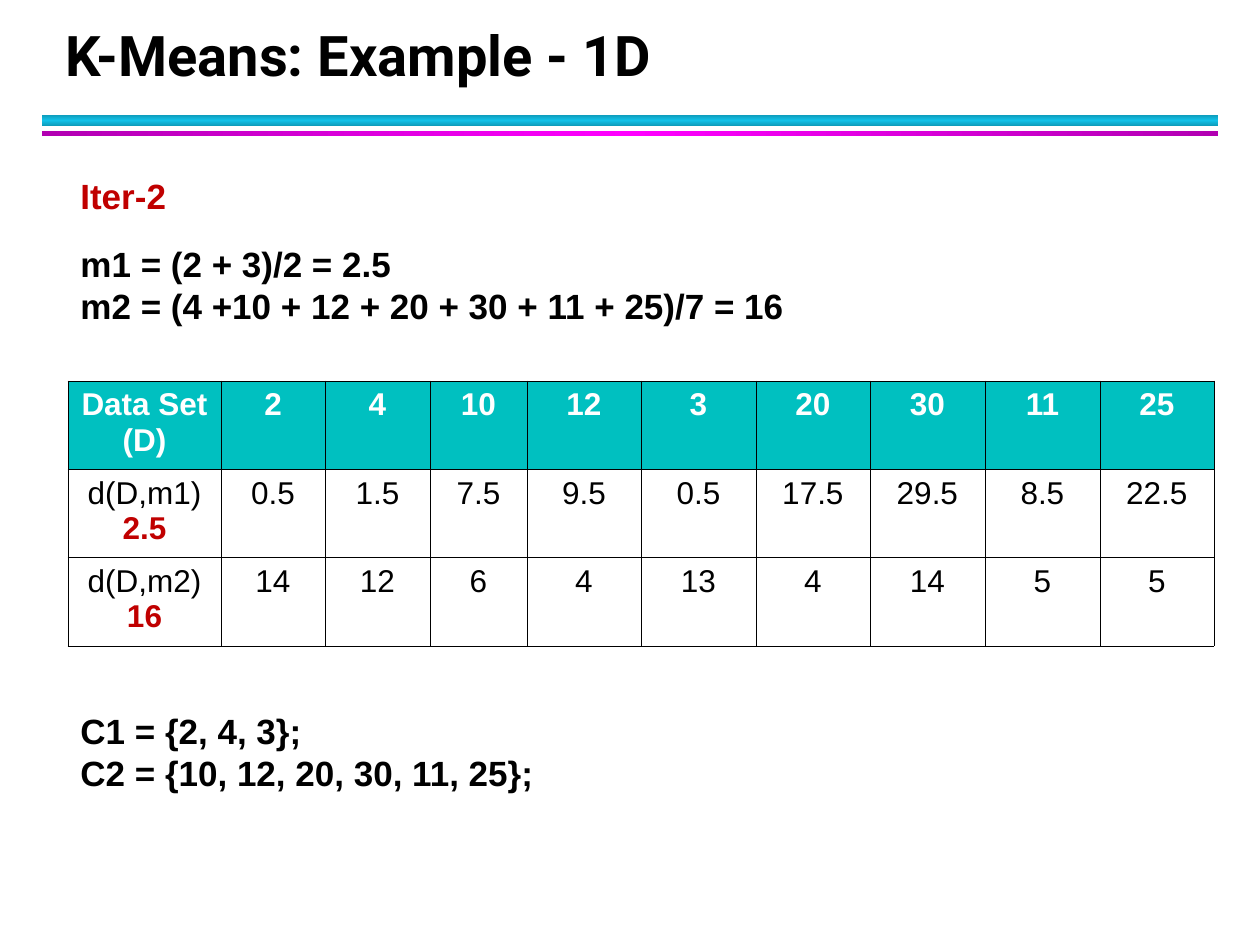
from pptx import Presentation
from pptx.dml.color import RGBColor
from pptx.enum.shapes import MSO_SHAPE
from pptx.enum.text import MSO_ANCHOR, PP_ALIGN
from pptx.oxml import parse_xml
from pptx.oxml.ns import nsdecls
from pptx.util import Pt

SCALE = 914400 / 126  # EMU per px


def px(*values):
    return [round(v * SCALE) for v in values]


def style(p, size, color, bold=True, name="Arial"):
    for r in p.runs:
        r.font.name, r.font.size, r.font.bold = name, Pt(size), bold
        r.font.color.rgb = RGBColor.from_string(color)


prs = Presentation()
prs.slide_width, prs.slide_height = px(1260, 945)
s = prs.slides.add_slide(prs.slide_layouts[5])

# Gradient rules under the title
rules = [
    (115, 11, 90, "0E9BBA", "12C2E9"),
    (131, 5, 0, "B200B2", "FF00FF"),
]
for top, height, angle, edge, middle in rules:
    sp = s.shapes.add_shape(MSO_SHAPE.RECTANGLE, *px(42, top, 1176, height))
    sp.shadow.inherit = False
    sp.line.fill.background()
    stops = "".join(
        f'<a:gs pos="{pos}"><a:srgbClr val="{color}"/></a:gs>'
        for pos, color in ((0, edge), (50000, middle), (100000, edge)))
    grad = parse_xml(
        f'<a:gradFill {nsdecls("a")}><a:gsLst>{stops}</a:gsLst>'
        f'<a:lin ang="{angle * 60000}" scaled="0"/></a:gradFill>')
    sp._element.spPr.find("./{*}prstGeom").addnext(grad)

# Title
title = s.shapes.title
title.left, title.top, title.width, title.height = px(53, 21, 1142, 73)
tf = title.text_frame
tf.text = "K-Means: Example - 1D"
tf.vertical_anchor = MSO_ANCHOR.BOTTOM
p = tf.paragraphs[0]
p.alignment = PP_ALIGN.LEFT
p.line_spacing = Pt(36)
style(p, 32, "000000", name="Roboto")

# Iteration, means and clusters
notes = [
    (168, 1108, 55, "C00000", "Iter-2"),
    (236, 1055, 139, "000000",
     "m1 = (2 + 3)/2 = 2.5\nm2 = (4 +10 + 12 + 20 + 30 + 11 + 25)/7 = 16"),
    (703, 630, 139, "000000",
     "C1 = {2, 4, 3};\nC2 = {10, 12, 20, 30, 11, 25};"),
]
for top, width, height, color, text in notes:
    tf = s.shapes.add_textbox(*px(68, top, width, height)).text_frame
    tf.word_wrap = True
    tf.text = text
    for p in tf.paragraphs:
        p.line_spacing = Pt(24)
        style(p, 20, color)

# Distance table
rows = [
    ["Data Set \n(D)", "2", "4", "10", "12", "3", "20", "30", "11", "25"],
    ["d(D,m1)\n2.5", "0.5", "1.5", "7.5", "9.5", "0.5", "17.5", "29.5", "8.5", "22.5"],
    ["d(D,m2)\n16", "14", "12", "6", "4", "13", "4", "14", "5", "5"],
]
edges = [68, 221, 325, 430, 527, 641, 756, 870, 985, 1100, 1214]
frame = s.shapes.add_table(
    len(rows), len(rows[0]), *px(edges[0], 381, edges[-1] - edges[0], 265))
table = frame.table
for col, left, right in zip(table.columns, edges, edges[1:]):
    col.width = px(right - left)[0]

for i, row in enumerate(rows):
    for j, text in enumerate(row):
        cell = table.cell(i, j)
        cell.text = text
        for k, p in enumerate(cell.text_frame.paragraphs):
            p.alignment = PP_ALIGN.CENTER
            mean = i > 0 and k == 1
            color = "FFFFFF" if i == 0 else "C00000" if mean else "000000"
            style(p, 18, color, bold=i == 0 or mean)
        tcPr = cell._tc.get_or_add_tcPr()
        for side in ("lnL", "lnR", "lnT", "lnB"):
            tcPr.append(parse_xml(
                f'<a:{side} {nsdecls("a")} w="5715"><a:solidFill>'
                f'<a:srgbClr val="000000"/></a:solidFill></a:{side}>'))
        if i == 0:
            cell.fill.solid()
            cell.fill.fore_color.rgb = RGBColor.from_string("00C0C0")
        else:
            cell.fill.background()

prs.save("out.pptx")
